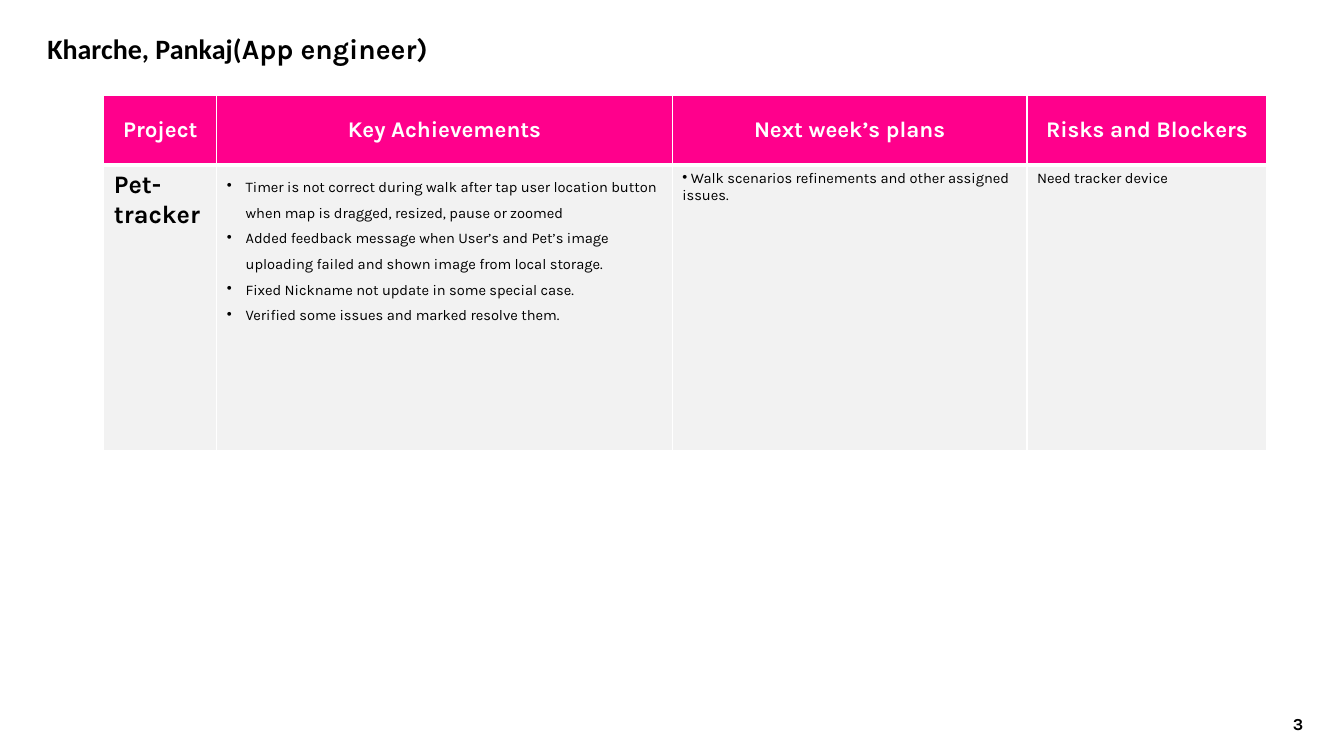
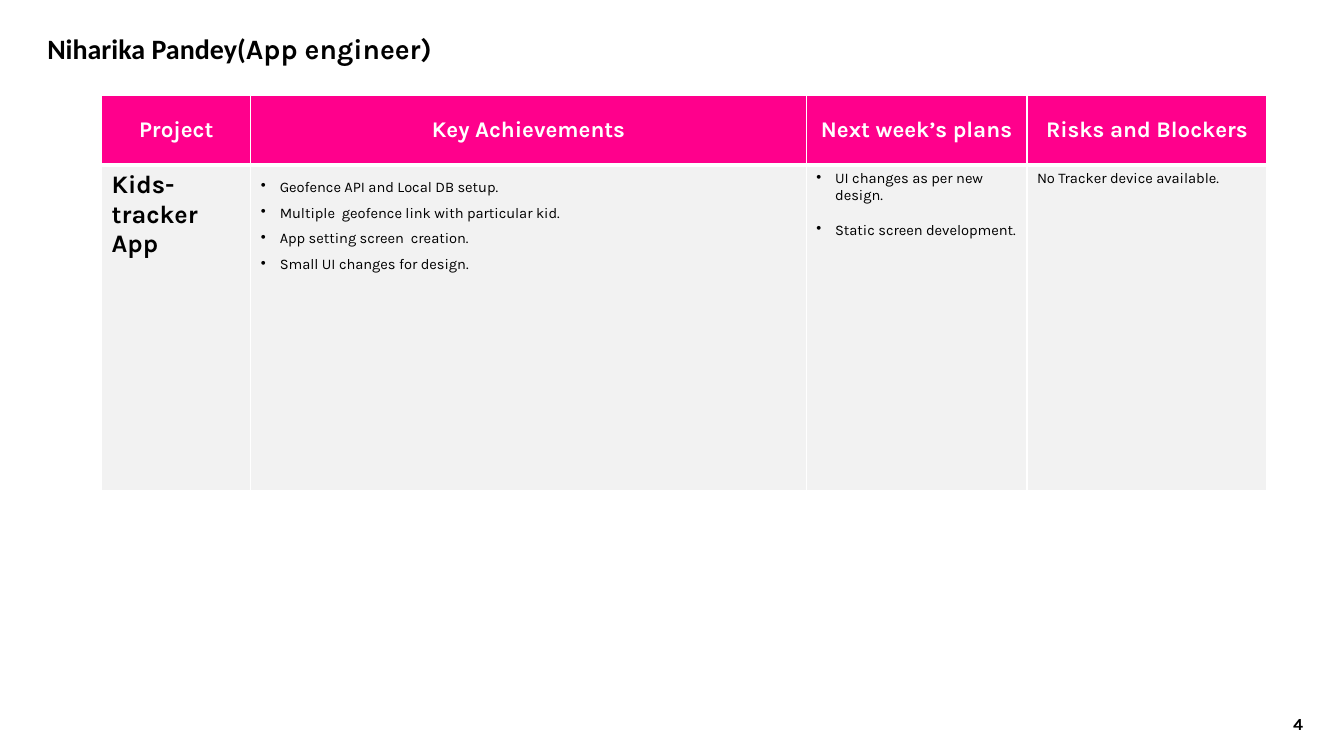
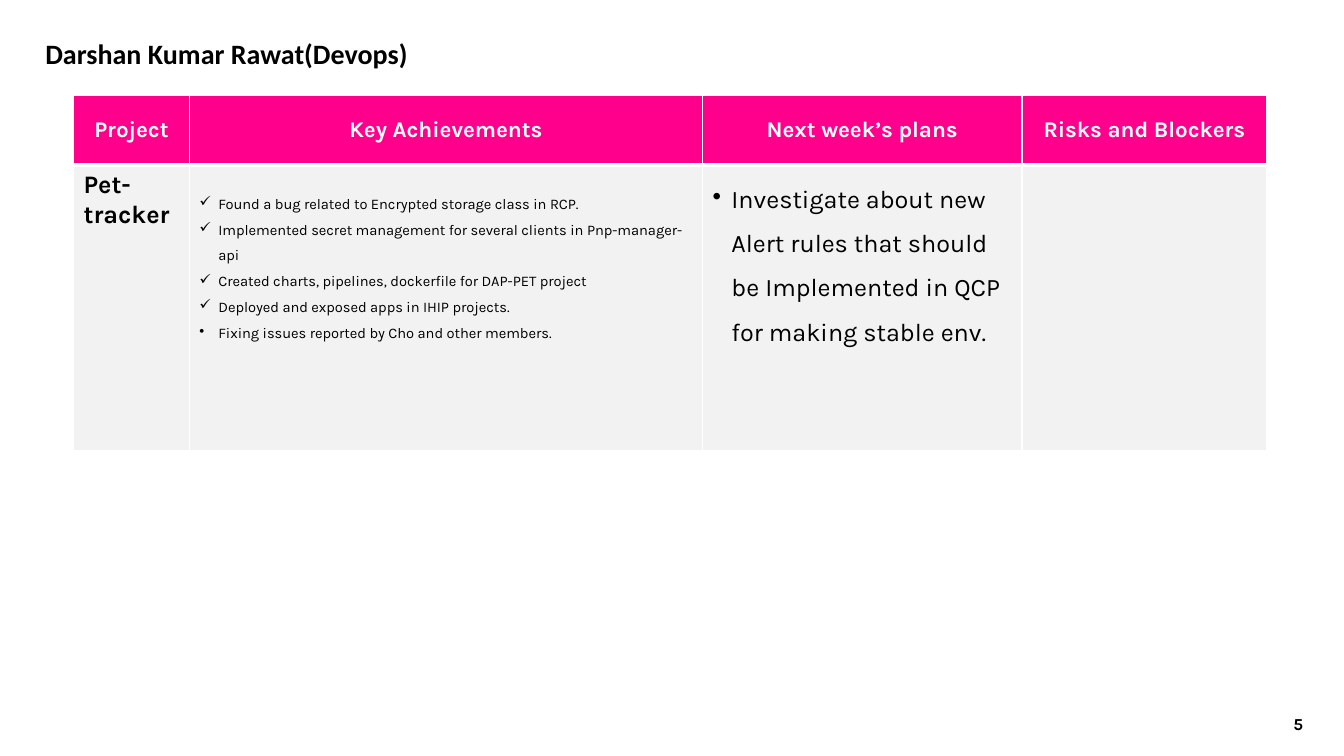
from lxml import etree
from pptx import Presentation
from pptx.dml.color import RGBColor
from pptx.enum.text import MSO_ANCHOR, PP_ALIGN
from pptx.oxml.ns import qn
from pptx.util import Pt

BLACK = RGBColor(0, 0, 0)
WHITE = RGBColor(255, 255, 255)
PINK = RGBColor(0xFF, 0x00, 0x8C)
GREY = RGBColor(0xF2, 0xF2, 0xF2)
TITLE_FONT, BODY_FONT = "Calibri", "Karla"

HEADINGS = ["Project", "Key Achievements", "Next week’s plans", "Risks and Blockers"]
TABLE_RIGHT, TABLE_TOP, HEADER_HEIGHT = 905, 68.4, 49.7
HANGING = 13.5
FIRST_PAGE = 3

# Items are (bullet, text); the style of a column applies to all its items.
REPORTS = [
    {
        "title": [("Kharche, Pankaj(", TITLE_FONT), ("App engineer)", BODY_FONT)],
        "title_at": (28, 13),
        "columns": [80.6, 325.4, 253.4, 171.4],
        "body_height": 203.8,
        "project": "Pet-tracker",
        "achievements": [
            ("•", "Timer is not correct during walk after tap user location button "
                  "when map is dragged, resized, pause or zoomed"),
            ("•", "Added feedback message when User’s and Pet’s image uploading failed "
                  "and shown image from local storage."),
            ("•", "Fixed Nickname not update in some special case."),
            ("•", "Verified some issues and marked resolve them."),
        ],
        "plans": [("•", " Walk scenarios refinements and other assigned issues.")],
        "plan_style": {"hanging": 0},
        "risks": "Need tracker device",
    },
    {
        "title": [("Niharika Pandey(", TITLE_FONT), ("App engineer)", BODY_FONT)],
        "title_at": (28, 13),
        "columns": [106.6, 396.7, 157.7, 171.4],
        "body_height": 232.6,
        "project": "Kids-tracker App",
        "achievements": [
            ("•", "Geofence API and Local DB setup."),
            ("•", "Multiple  geofence link with particular kid."),
            ("•", "App setting screen  creation."),
            ("•", "Small UI changes for design."),
        ],
        "plans": [("•", "UI changes as per new design."), ("•", "Static screen development.")],
        "plan_style": {"gap": 12.3},
        "risks": "No Tracker device available.",
    },
    {
        "title": [("Darshan Kumar Rawat(Devops)", TITLE_FONT)],
        "title_at": (26.6, 16.5),
        "columns": [82.8, 366.5, 228.2, 175],
        "body_height": 203.8,
        "project": "Pet-tracker",
        "achievements": [
            ("✓", "Found a bug related to Encrypted storage class in RCP."),
            ("✓", "Implemented secret management for several clients in Pnp-manager-api"),
            ("✓", "Created charts, pipelines, dockerfile for DAP-PET project"),
            ("✓", "Deployed and exposed apps in IHIP projects."),
            ("•", "Fixing issues reported by Cho and other members."),
        ],
        "achievements_top": 15.8,
        "plans": [("•", "Investigate about new Alert rules that should be Implemented in QCP "
                        "for making stable env.")],
        "plan_style": {"size": 18, "spacing": 1.5},
        "risks": "",
    },
]


def add_run(paragraph, words, size, font=BODY_FONT, color=BLACK, bold=False):
    run = paragraph.add_run()
    run.text = words
    run.font.size, run.font.name, run.font.bold = Pt(size), font, bold
    run.font.color.rgb = color


def add_label(slide, left, top, width, height, inset, runs, size, align=PP_ALIGN.LEFT):
    frame = slide.shapes.add_textbox(Pt(left), Pt(top), Pt(width), Pt(height)).text_frame
    frame.word_wrap = True
    frame.vertical_anchor = MSO_ANCHOR.MIDDLE
    frame.margin_left = frame.margin_right = Pt(inset)
    frame.margin_top = frame.margin_bottom = Pt(inset)
    paragraph = frame.paragraphs[0]
    paragraph.alignment = align
    for words, font in runs:
        add_run(paragraph, words, size, font, bold=True)


def style_cell(cell, fill, top=1, bottom=1):
    """Give a cell its fill and white borders; top and bottom are line widths."""
    properties = cell._tc.get_or_add_tcPr()
    for side, width in (("L", 1), ("R", 1), ("T", top), ("B", bottom)):
        line = etree.SubElement(properties, qn(f"a:ln{side}"), w=str(Pt(width)))
        solid = etree.SubElement(line, qn("a:solidFill"))
        etree.SubElement(solid, qn("a:srgbClr"), val=str(WHITE))
    cell.fill.solid()
    cell.fill.fore_color.rgb = fill


def add_list(cell, items, hanging=HANGING, spacing=1.0, size=10.5, gap=0):
    frame = cell.text_frame
    for index, (bullet, words) in enumerate(items):
        paragraph = frame.add_paragraph() if index else frame.paragraphs[0]
        properties = paragraph._p.get_or_add_pPr()
        properties.set("marL", str(Pt(hanging)))
        properties.set("indent", str(-Pt(hanging)))
        etree.SubElement(properties, qn("a:buChar"), char=bullet)
        paragraph.line_spacing = spacing
        if index and gap:
            paragraph.space_before = Pt(gap)
        add_run(paragraph, words, size)


def add_report_table(slide, report):
    columns = report["columns"]
    width = sum(columns)
    table = slide.shapes.add_table(
        2, len(columns), Pt(TABLE_RIGHT - width), Pt(TABLE_TOP), Pt(width),
        Pt(HEADER_HEIGHT + report["body_height"])).table
    table.horz_banding = False
    table.rows[0].height = Pt(HEADER_HEIGHT)
    table.rows[1].height = Pt(report["body_height"])

    for index, (heading, column_width) in enumerate(zip(HEADINGS, columns)):
        table.columns[index].width = Pt(column_width)
        header = table.cell(0, index)
        style_cell(header, PINK, bottom=3)
        header.vertical_anchor = MSO_ANCHOR.MIDDLE
        paragraph = header.text_frame.paragraphs[0]
        paragraph.alignment = PP_ALIGN.CENTER
        add_run(paragraph, heading, 16, color=WHITE, bold=True)
        style_cell(table.cell(1, index), GREY, top=3)

    project, achievements, plans, risks = (table.cell(1, i) for i in range(4))
    add_run(project.text_frame.paragraphs[0], report["project"], 18, bold=True)
    achievements.margin_top = Pt(report.get("achievements_top", 3.6))
    add_list(achievements, report["achievements"], spacing=1.5)
    add_list(plans, report["plans"], **report["plan_style"])
    if report["risks"]:
        add_run(risks.text_frame.paragraphs[0], report["risks"], 10.5)


def main():
    deck = Presentation()
    deck.slide_width, deck.slide_height = Pt(960), Pt(540)
    for page, report in enumerate(REPORTS, FIRST_PAGE):
        slide = deck.slides.add_slide(deck.slide_layouts[6])
        add_label(slide, 874, 505.5, 60.5, 22.3, 3.6, [(str(page), BODY_FONT)], 12,
                  PP_ALIGN.RIGHT)
        add_label(slide, *report["title_at"], 375, 42.5, 5.76, report["title"], 20)
        add_report_table(slide, report)
    deck.save("out.pptx")


if __name__ == "__main__":
    main()
